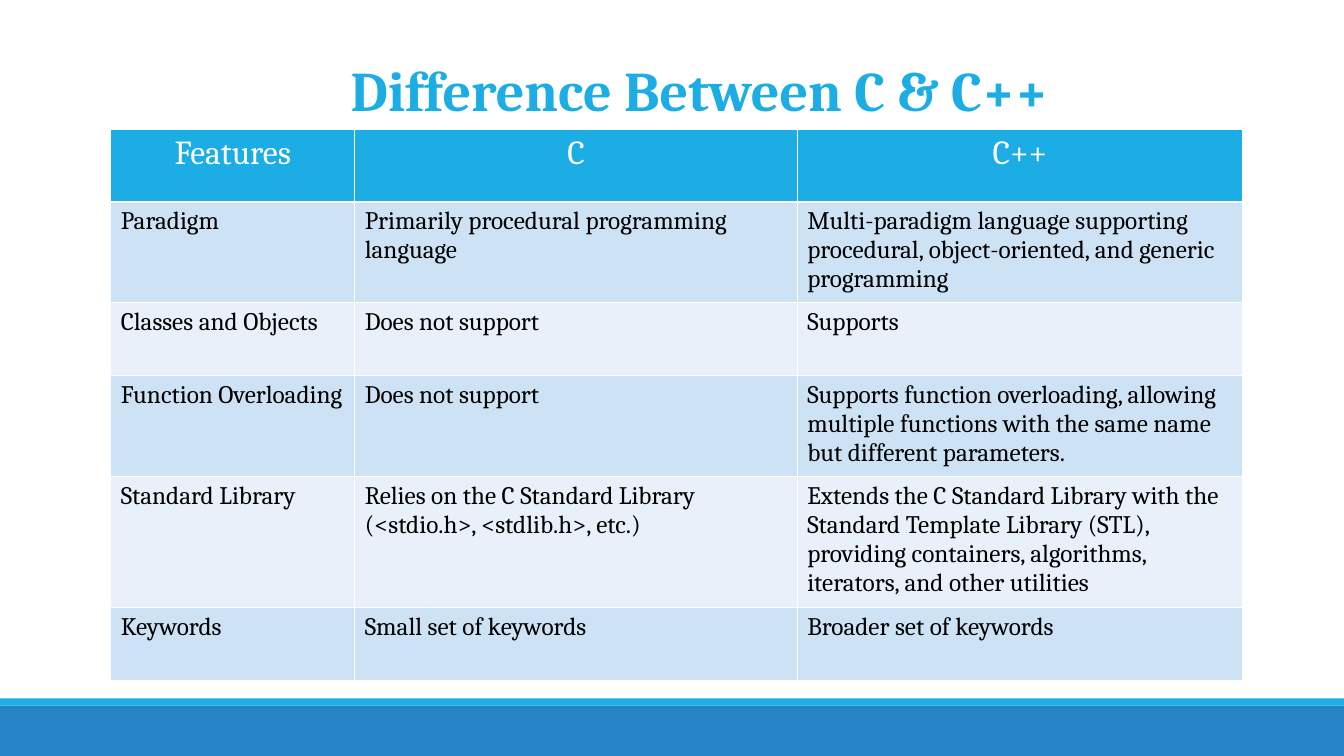
from pptx import Presentation
from pptx.dml.color import RGBColor
from pptx.enum import shapes, text
from pptx.util import Cm, Pt

FONT = "Cambria"
ACCENT, BLUE, WHITE, BLACK = "1CADE4", "2683C6", "FFFFFF", "000000"
BANDS = ["CDE3F5", "E8F1FA"]

TITLE = "Difference Between C & C++"
ROWS = [
    ("Features", "C", "C++"),
    ("Paradigm", "Primarily procedural programming language",
     "Multi-paradigm language supporting procedural, object-oriented, "
     "and generic programming"),
    ("Classes and Objects", "Does not support", "Supports"),
    ("Function Overloading", "Does not support",
     "Supports function overloading, allowing multiple functions with "
     "the same name but different parameters."),
    ("Standard Library",
     "Relies on the C Standard Library (<stdio.h>, <stdlib.h>, etc.)",
     "Extends the C Standard Library with the Standard Template Library (STL), "
     "providing containers, algorithms, iterators, and other utilities"),
    ("Keywords", "Small set of keywords", "Broader set of keywords"),
]
COLUMN_WIDTHS = [6.15, 11.15, 11.23]
ROW_HEIGHT = 1.84
SLIDE_WIDTH, SLIDE_HEIGHT = 33.87, 19.05
FOOTER_BARS = [(17.78, 1.27, BLUE), (17.6, 0.18, ACCENT)]  # top, height, colour


def paint(target, color):
    """Give a fill or a font a solid colour."""
    if hasattr(target, "solid"):
        target.solid()
        target.fore_color.rgb = RGBColor.from_string(color)
    else:
        target.color.rgb = RGBColor.from_string(color)


def write(text_frame, words, size, color, bold=False, centred=False):
    text_frame.text = words
    paragraph = text_frame.paragraphs[0]
    paragraph.alignment = text.PP_ALIGN.CENTER if centred else text.PP_ALIGN.LEFT
    font = paragraph.runs[0].font
    font.name, font.size, font.bold = FONT, Pt(size), bold
    paint(font, color)


def add_footer(slide):
    for top, height, color in FOOTER_BARS:
        bar = slide.shapes.add_shape(shapes.MSO_SHAPE.RECTANGLE, 0, Cm(top),
                                     Cm(SLIDE_WIDTH), Cm(height))
        bar.shadow.inherit = False
        paint(bar.fill, color)
        bar.line.fill.background()


def add_title(slide):
    title = slide.shapes.add_textbox(Cm(7.14), Cm(1.27), Cm(20.98), Cm(1.96))
    title.text_frame.word_wrap = True
    write(title.text_frame, TITLE, 40, ACCENT, bold=True, centred=True)


def add_comparison(slide):
    frame = slide.shapes.add_table(len(ROWS), len(COLUMN_WIDTHS), Cm(2.79), Cm(3.25),
                                   Cm(sum(COLUMN_WIDTHS)), Cm(ROW_HEIGHT * len(ROWS)))
    table = frame.table
    for column, width in zip(table.columns, COLUMN_WIDTHS):
        column.width = Cm(width)
    for index, (row, entries) in enumerate(zip(table.rows, ROWS)):
        row.height = Cm(ROW_HEIGHT)
        header = index == 0
        for cell, words in zip(row.cells, entries):
            paint(cell.fill, ACCENT if header else BANDS[(index - 1) % 2])
            write(cell.text_frame, words, 24 if header else 18,
                  WHITE if header else BLACK, centred=header)


def main():
    presentation = Presentation()
    presentation.slide_width = Cm(SLIDE_WIDTH)
    presentation.slide_height = Cm(SLIDE_HEIGHT)
    slide = presentation.slides.add_slide(presentation.slide_layouts[6])
    add_footer(slide)
    add_title(slide)
    add_comparison(slide)
    presentation.save("out.pptx")


if __name__ == "__main__":
    main()
